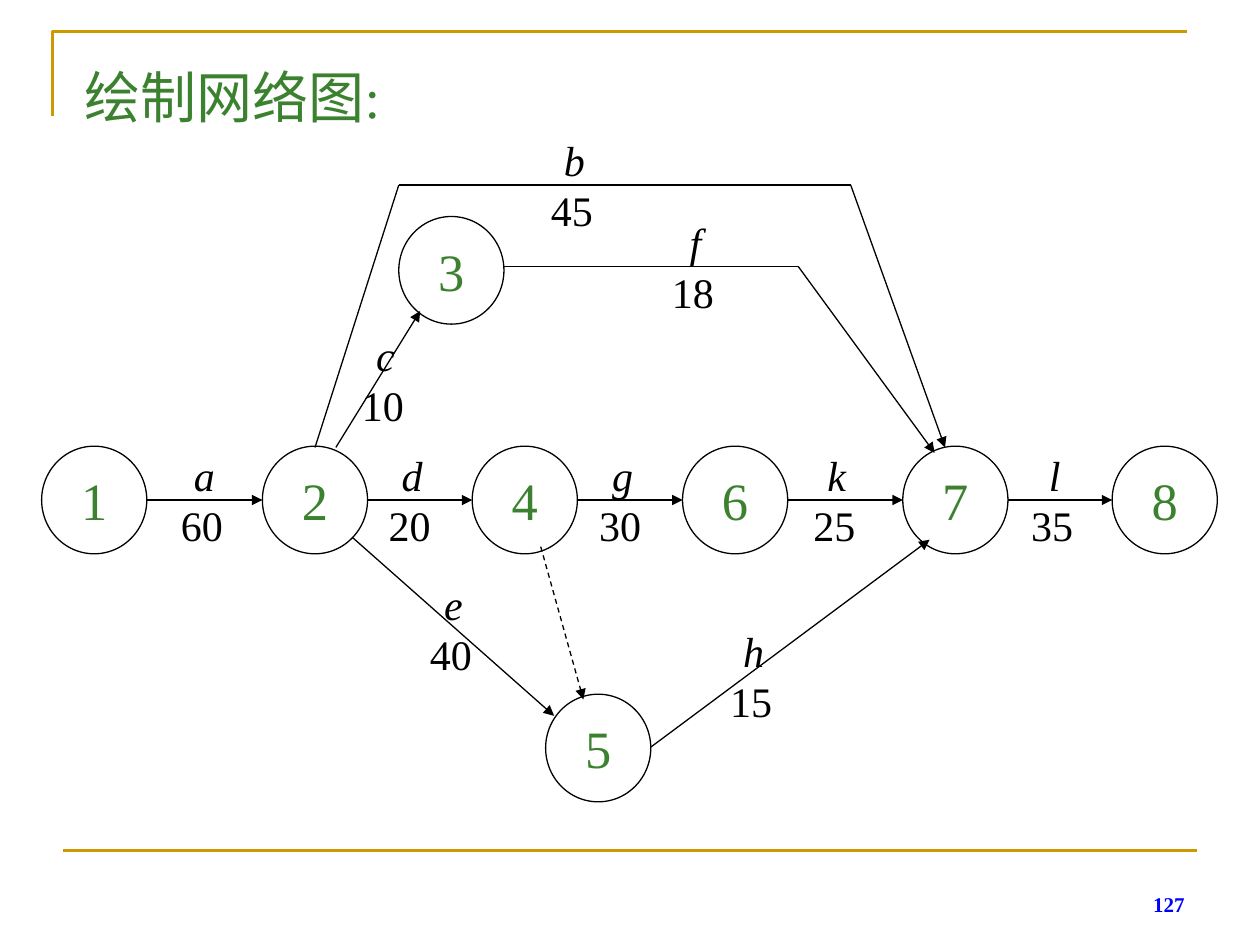
"""Build the activity-on-arrow network diagram slide."""
from itertools import pairwise

from lxml import etree
from pptx import Presentation
from pptx import util as u
from pptx.dml.color import RGBColor
from pptx.enum import dml, shapes, text
from pptx.oxml.ns import qn

FONT = "Times New Roman"
GREEN, BLACK, GOLD, BLUE = "3B812F", "000000", "CC9900", "0000FF"
NODE_W, NODE_H = 2.12, 2.17
LABEL_W, LABEL_H = 1.48, 1.01
ROW_Y = 10.08
TITLE = "绘制网络图:"
PAGE_NUMBER = "127"

NODES = {
    "1": (1.9, ROW_Y), "2": (6.35, ROW_Y), "4": (10.58, ROW_Y),
    "6": (14.82, ROW_Y), "7": (19.26, ROW_Y), "8": (23.48, ROW_Y),
    "3": (9.1, 5.45), "5": (12.06, 15.08),
}
ROW_ACTIVITIES = [
    ("a", "60", "1", "2", 4.12), ("d", "20", "2", "4", 8.31),
    ("g", "30", "4", "6", 12.55), ("k", "25", "6", "7", 16.87),
    ("l", "35", "7", "8", 21.26),
]
ROUTED_ACTIVITIES = [
    ("b", "45", (11.58, 3.73), [(6.35, 9.02), (8.04, 3.73), (17.15, 3.73), (19.05, 9.02)]),
    ("c", "10", (7.77, 7.65), [(6.77, 9.02), (8.47, 6.27)]),
    ("f", "18", (14.02, 5.37), [(10.16, 5.37), (16.09, 5.37), (18.84, 9.13)]),
    ("e", "40", (9.14, 12.67), [(7.1, 10.83), (11.17, 14.43)]),
    ("h", "15", (15.19, 13.63), [(13.12, 15.06), (18.74, 10.88)]),
]
DUMMY_ROUTE = [(10.9, 11.02), (11.76, 14.1)]


def color(value):
    return RGBColor.from_string(value)


def write(shape, content, size, fill, align=text.PP_ALIGN.CENTER,
          anchor=text.MSO_ANCHOR.MIDDLE, margins=(0.25, 0.13), wrap=True,
          italic=False, bold=False):
    frame = shape.text_frame
    frame.word_wrap = wrap
    frame.vertical_anchor = anchor
    frame.margin_left = frame.margin_right = u.Cm(margins[0])
    frame.margin_top = frame.margin_bottom = u.Cm(margins[1])
    para = frame.paragraphs[0]
    para.text = content
    para.alignment = align
    font = para.font
    font.name, font.size = FONT, u.Pt(size)
    font.italic, font.bold = italic, bold
    font.color.rgb = color(fill)


def add_line(page, start, end, stroke=BLACK, width=0.75, arrow=False, dashed=False):
    line = page.shapes.add_connector(
        shapes.MSO_CONNECTOR.STRAIGHT, *(u.Cm(value) for value in (*start, *end)))
    line.line.color.rgb = color(stroke)
    line.line.width = u.Pt(width)
    if dashed:
        line.line.dash_style = dml.MSO_LINE.DASH
    if arrow:
        tail = etree.SubElement(line.line._get_or_add_ln(), qn("a:tailEnd"))
        tail.set("type", "triangle")
    etree.SubElement(line._element.spPr, qn("a:effectLst"))


def add_route(page, points, dashed=False):
    for start, end in pairwise(points):
        add_line(page, start, end, arrow=end == points[-1], dashed=dashed)


def add_node(page, name, center):
    x, y = center
    node = page.shapes.add_shape(
        shapes.MSO_SHAPE.OVAL, u.Cm(x - NODE_W / 2), u.Cm(y - NODE_H / 2),
        u.Cm(NODE_W), u.Cm(NODE_H))
    node.shadow.inherit = False
    node.fill.background()
    node.line.color.rgb = color(BLACK)
    node.line.width = u.Pt(0.75)
    write(node, name, 30, GREEN)


def add_activity(page, name, duration, position, points):
    add_route(page, points)
    x, y = position
    for content, center, top, italic in (
            (name, x, y - LABEL_H, True), (duration, x - 0.05, y, False)):
        box = page.shapes.add_textbox(
            u.Cm(center - LABEL_W / 2), u.Cm(top), u.Cm(LABEL_W), u.Cm(LABEL_H))
        write(box, content, 24, BLACK, margins=(0.05, 0), italic=italic)


def add_frame(page):
    builder = page.shapes.build_freeform(u.Cm(1.06), u.Cm(2.33))
    builder.add_line_segments(
        [(u.Cm(1.06), u.Cm(0.64)), (u.Cm(23.92), u.Cm(0.64))], close=False)
    corner = builder.convert_to_shape()
    corner.shadow.inherit = False
    corner.fill.background()
    corner.line.color.rgb = color(GOLD)
    corner.line.width = u.Pt(1.5)
    add_line(page, (1.27, 17.14), (24.13, 17.14), GOLD, 1.5)


def main():
    deck = Presentation()
    deck.slide_width, deck.slide_height = u.Cm(25.4), u.Cm(19.05)
    page = deck.slides.add_slide(deck.slide_layouts[5])
    add_frame(page)

    for name, center in NODES.items():
        add_node(page, name, center)
    add_route(page, DUMMY_ROUTE, dashed=True)
    for name, duration, source, target, x in ROW_ACTIVITIES:
        points = [(NODES[source][0] + NODE_W / 2, ROW_Y),
                  (NODES[target][0] - NODE_W / 2, ROW_Y)]
        add_activity(page, name, duration, (x, ROW_Y), points)
    for activity in ROUTED_ACTIVITIES:
        add_activity(page, *activity)

    title = page.shapes.title
    title.left, title.top = u.Cm(1.45), u.Cm(1.12)
    title.width, title.height = u.Cm(16.26), u.Cm(1.63)
    write(title, TITLE, 32, GREEN, text.PP_ALIGN.LEFT, text.MSO_ANCHOR.TOP)
    number = page.shapes.add_textbox(u.Cm(18.21), u.Cm(17.35), u.Cm(5.92), u.Cm(1.27))
    write(number, PAGE_NUMBER, 12, BLUE, text.PP_ALIGN.RIGHT,
          text.MSO_ANCHOR.BOTTOM, bold=True)
    deck.save("out.pptx")


if __name__ == "__main__":
    main()
